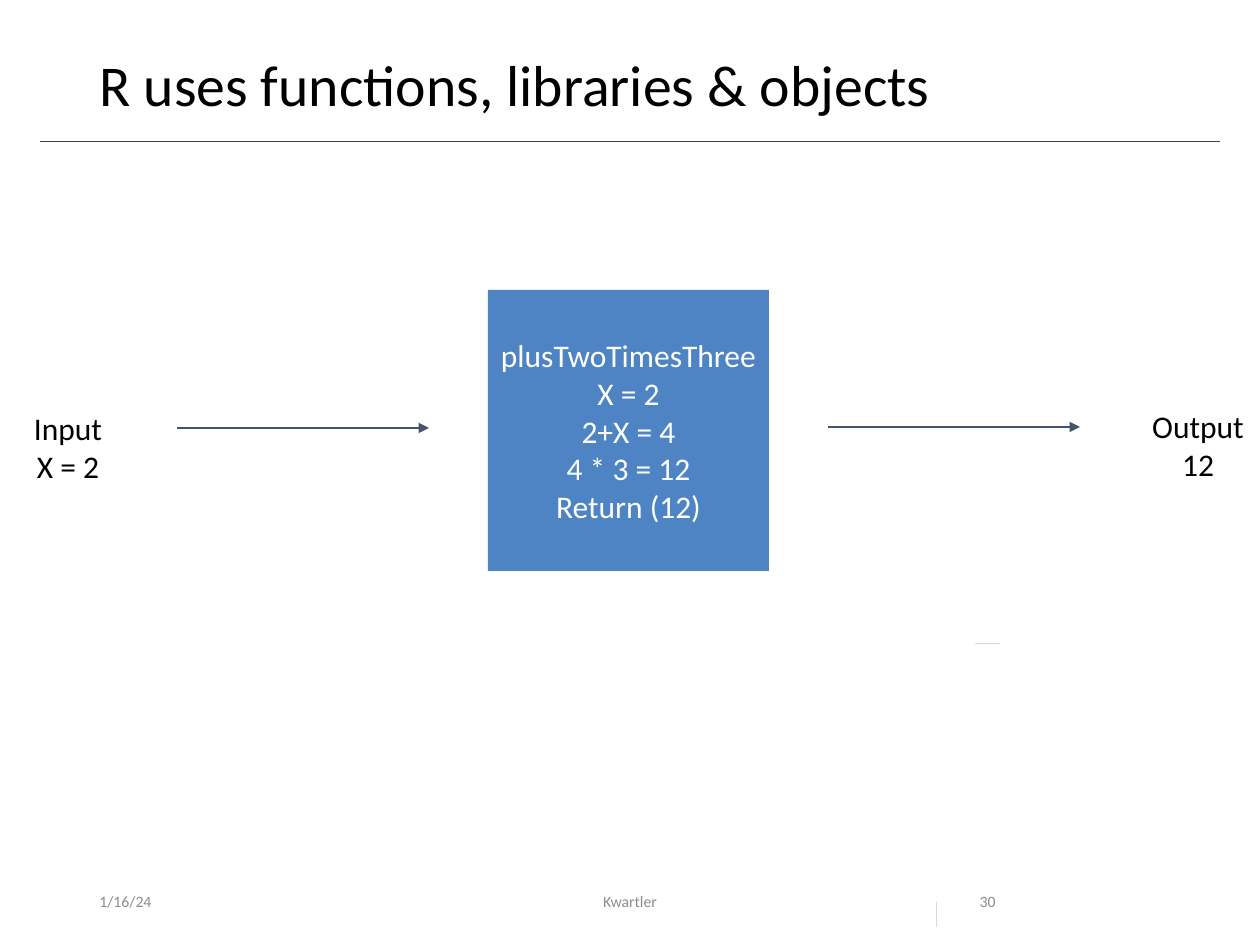
from dataclasses import dataclass

from lxml import etree
from pptx import Presentation
from pptx.dml.color import RGBColor
from pptx.enum.shapes import MSO_CONNECTOR, MSO_SHAPE
from pptx.enum.text import MSO_ANCHOR, PP_ALIGN
from pptx.oxml.ns import qn
from pptx.util import Pt

LEFT, CENTER, RIGHT = PP_ALIGN.LEFT, PP_ALIGN.CENTER, PP_ALIGN.RIGHT
TOP, MIDDLE = MSO_ANCHOR.TOP, MSO_ANCHOR.MIDDLE
STRAIGHT, RECTANGLE = MSO_CONNECTOR.STRAIGHT, MSO_SHAPE.RECTANGLE
SCALE = 914400 / 126


@dataclass(frozen=True)
class Theme:
    """Colours, font and type sizes of the slide."""
    font: str = "Calibri"
    ink: str = "000000"
    white: str = "FFFFFF"
    muted: str = "8C8C8C"
    rule: str = "404040"
    arrow: str = "44546A"
    tick: str = "D9D9D9"
    block: str = "4E84C4"
    title: int = 33
    body: int = 18
    small: int = 9


THEME = Theme()


def px(*values):
    """Turn pixel lengths into EMU."""
    return [round(v * SCALE) for v in values]


def write(tf, lines, size, color, align=CENTER, anchor=MIDDLE, wrap=True, spacing=1.0):
    """Fill a text frame with one paragraph per line."""
    for name, value in {"word_wrap": wrap, "vertical_anchor": anchor}.items():
        setattr(tf, name, value)
    for i, line in enumerate(lines):
        p = tf.add_paragraph() if i else tf.paragraphs[0]
        for name, value in {"alignment": align, "line_spacing": spacing}.items():
            setattr(p, name, value)
        r = p.add_run()
        r.text = line
        for name, value in {"name": THEME.font, "size": Pt(size)}.items():
            setattr(r.font, name, value)
        r.font.color.rgb = RGBColor.from_string(color)


def add_text(s, box, lines, size, color, **layout):
    """Add a text box."""
    write(s.shapes.add_textbox(*px(*box)).text_frame, lines, size, color, **layout)


def add_line(s, x, y, dx, dy, color, width=0.5, arrow=False):
    """Add a straight line, with an arrowhead at its end if asked."""
    line = s.shapes.add_connector(STRAIGHT, *px(x, y, x + dx, y + dy))
    line.line.color.rgb = RGBColor.from_string(color)
    line.line.width = Pt(width)
    if arrow:
        etree.SubElement(line.line._get_or_add_ln(), qn("a:tailEnd"), type="triangle")
    etree.SubElement(line._element.spPr, qn("a:effectLst"))


def add_header(s, x, y, w, h):
    """Place the title and the rule beneath it."""
    add_text(s, (x + 47, y, w - 94, h - 9), ["R uses functions, libraries & objects"],
             THEME.title, THEME.ink, align=LEFT, anchor=TOP, spacing=0.9)
    add_line(s, x, y + h, w, 0, THEME.rule)


def add_flow(s, x, y, w, h):
    """Place input, function block and output, joined by arrows."""
    block_x, label_y = x + 467, y + 113
    for left, top, width, lines in (
        (x, label_y, 94, ["Input", "X = 2"]),
        (x + w - 118, label_y - 2, 118, ["Output", "12"]),
    ):
        add_text(s, (left, top, width, 89), lines, THEME.body, THEME.ink,
                 anchor=TOP, wrap=False)
    for left, top in ((x + 156, y + 138), (x + 807, y + 137)):
        add_line(s, left, top, 252, 0, THEME.arrow, 1, arrow=True)
    sp = s.shapes.add_shape(RECTANGLE, *px(block_x, y, h, h))
    sp.shadow.inherit = False
    sp.fill.solid()
    sp.fill.fore_color.rgb = RGBColor.from_string(THEME.block)
    sp.line.fill.background()
    lines = ["plusTwoTimesThree", "X = 2", "2+X = 4", "4 * 3 = 12", "Return (12)"]
    write(sp.text_frame, lines, THEME.body, THEME.white, wrap=False)


def add_footer(s, x, y, w, h):
    """Place date, author and page number along the bottom."""
    for left, width, text, align in (
        (x, 284, "1/16/24", LEFT),
        (x + 330, 426, "Kwartler", CENTER),
        (x + w - 118, 118, "30", RIGHT),
    ):
        add_text(s, (left, y, width, h), [text], THEME.small, THEME.muted, align=align)


def add_ticks(s, x, y, w, h):
    """Place the two pale ticks at the corners of their box."""
    add_line(s, x, y + h - 25, 0, 25, THEME.tick)
    add_line(s, x + w - 25, y, 25, 0, THEME.tick)


def main():
    """Build and save the slide."""
    prs = Presentation()
    prs.slide_width, prs.slide_height = px(1260, 945)
    s = prs.slides.add_slide(prs.slide_layouts[6])
    add_header(s, 40, 50, 1180, 91)
    add_footer(s, 87, 876, 921, 50)
    add_flow(s, 21, 290, 1236, 281)
    add_ticks(s, 936, 643, 64, 284)
    prs.save("out.pptx")


if __name__ == "__main__":
    main()
